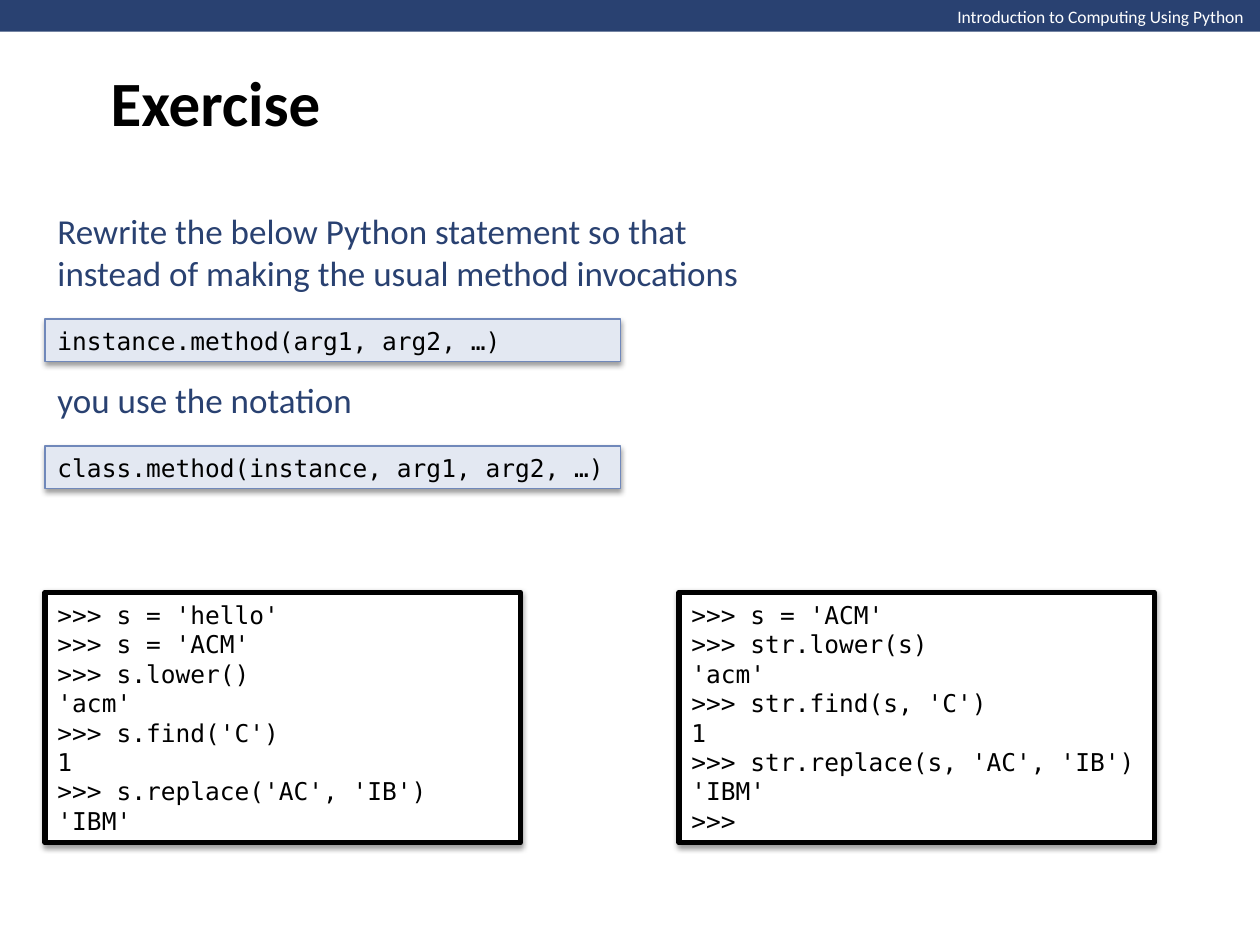
from lxml import etree
from pptx import Presentation
from pptx.dml.color import RGBColor
from pptx.enum import shapes, text
from pptx.oxml import ns
from pptx.util import Cm, Pt

NAVY = RGBColor(0x29, 0x41, 0x71)
PALE_BLUE = RGBColor(0xE3, 0xE8, 0xF2)
MID_BLUE = RGBColor(0x70, 0x88, 0xBA)
BLACK = RGBColor(0, 0, 0)
WHITE = RGBColor(255, 255, 255)
SANS, MONO = "Calibri", "DejaVu Sans Mono"

SLIDE_WIDTH, SLIDE_HEIGHT = 25.4, 19.05
LEFT_MARGIN = 0.91

NOTATIONS = [
    "instance.method(arg1, arg2, …)",
    "class.method(instance, arg1, arg2, …)",
]
USUAL_SESSION = [
    ">>> s = 'hello'",
    ">>> s = 'ACM'",
    ">>> s.lower()",
    "'acm'",
    ">>> s.find('C')",
    "1",
    ">>> s.replace('AC', 'IB')",
    "'IBM'",
]
CLASS_SESSION = [
    ">>> s = 'ACM'",
    ">>> str.lower(s)",
    "'acm'",
    ">>> str.find(s, 'C')",
    "1",
    ">>> str.replace(s, 'AC', 'IB')",
    "'IBM'",
    ">>>",
]


def write_text(shape, lines, size, font=SANS, color=BLACK, bold=False,
               anchor=text.MSO_ANCHOR.MIDDLE, wrap=True, gap=0):
    """Fill shape with one paragraph per line, gap points apart."""
    frame = shape.text_frame
    frame.word_wrap = wrap
    frame.vertical_anchor = anchor
    for index, line in enumerate(lines):
        paragraph = frame.paragraphs[0] if index == 0 else frame.add_paragraph()
        paragraph.alignment = text.PP_ALIGN.LEFT
        if index and gap:
            paragraph.space_before = Pt(gap)
        run = paragraph.add_run()
        run.text = line
        run.font.size = Pt(size)
        run.font.name = font
        run.font.bold = bold
        run.font.color.rgb = color


def add_text_box(slide, box, lines, **style):
    write_text(slide.shapes.add_textbox(*map(Cm, box)), lines, **style)


def add_rectangle(slide, box, fill):
    rectangle = slide.shapes.add_shape(
        shapes.MSO_SHAPE.RECTANGLE, *map(Cm, box))
    rectangle.shadow.inherit = False
    rectangle.fill.solid()
    rectangle.fill.fore_color.rgb = fill
    rectangle.line.fill.background()
    return rectangle


def add_soft_shadow(shape):
    effects = shape.element.spPr.find(ns.qn("a:effectLst"))
    shadow = etree.SubElement(
        effects, ns.qn("a:outerShdw"), blurRad=str(Pt(3.1)),
        dist=str(Pt(1.6)), dir="5400000", rotWithShape="0")
    color = etree.SubElement(shadow, ns.qn("a:srgbClr"), val=str(BLACK))
    etree.SubElement(color, ns.qn("a:alpha"), val="38000")


def add_code_box(slide, box, lines, fill, border, border_width):
    code_box = add_rectangle(slide, box, fill)
    code_box.line.color.rgb = border
    code_box.line.width = Pt(border_width)
    add_soft_shadow(code_box)
    write_text(code_box, lines, size=14, font=MONO)


def add_header(slide, left, top, width, height):
    add_rectangle(slide, (left, top, width, height), NAVY)
    caption_width = 6.35
    add_text_box(slide, (left + width - caption_width, top, caption_width, 0.69),
                 ["Introduction to Computing Using Python"],
                 size=10, color=WHITE, wrap=False,
                 anchor=text.MSO_ANCHOR.TOP)


def add_task(slide, left, top, width, height):
    """Place the instructions with a notation box under each paragraph."""
    add_text_box(slide, (left, top, width, height),
                 ["Rewrite the below Python statement so that instead of "
                  "making the usual method invocations",
                  "you use the notation"],
                 size=20, color=NAVY, gap=48.8,
                 anchor=text.MSO_ANCHOR.TOP)
    for row, notation in enumerate(NOTATIONS):
        add_code_box(slide, (left, top + 2.34 + row * 2.56, 11.6, 0.86),
                     [notation], PALE_BLUE, MID_BLUE, 0.75)


def add_sessions(slide, left, top, width, height):
    """Place the two sessions at the left and right ends of the box."""
    session_width = 9.58
    for x, session in ((left, USUAL_SESSION),
                       (left + width - session_width, CLASS_SESSION)):
        add_code_box(slide, (x, top, session_width, height),
                     session, WHITE, BLACK, 3)


def main():
    presentation = Presentation()
    presentation.slide_width = Cm(SLIDE_WIDTH)
    presentation.slide_height = Cm(SLIDE_HEIGHT)
    slide = presentation.slides.add_slide(presentation.slide_layouts[6])
    add_header(slide, 0, 0, SLIDE_WIDTH, 0.64)
    add_text_box(slide, (1.98, 0, 22.15, 4.09), ["Exercise"],
                 size=36, bold=True)
    add_task(slide, LEFT_MARGIN, 4.09, 14.73, 7.09)
    add_sessions(slide, LEFT_MARGIN, 11.94, 22.36, 5.05)
    presentation.save("out.pptx")


if __name__ == "__main__":
    main()
